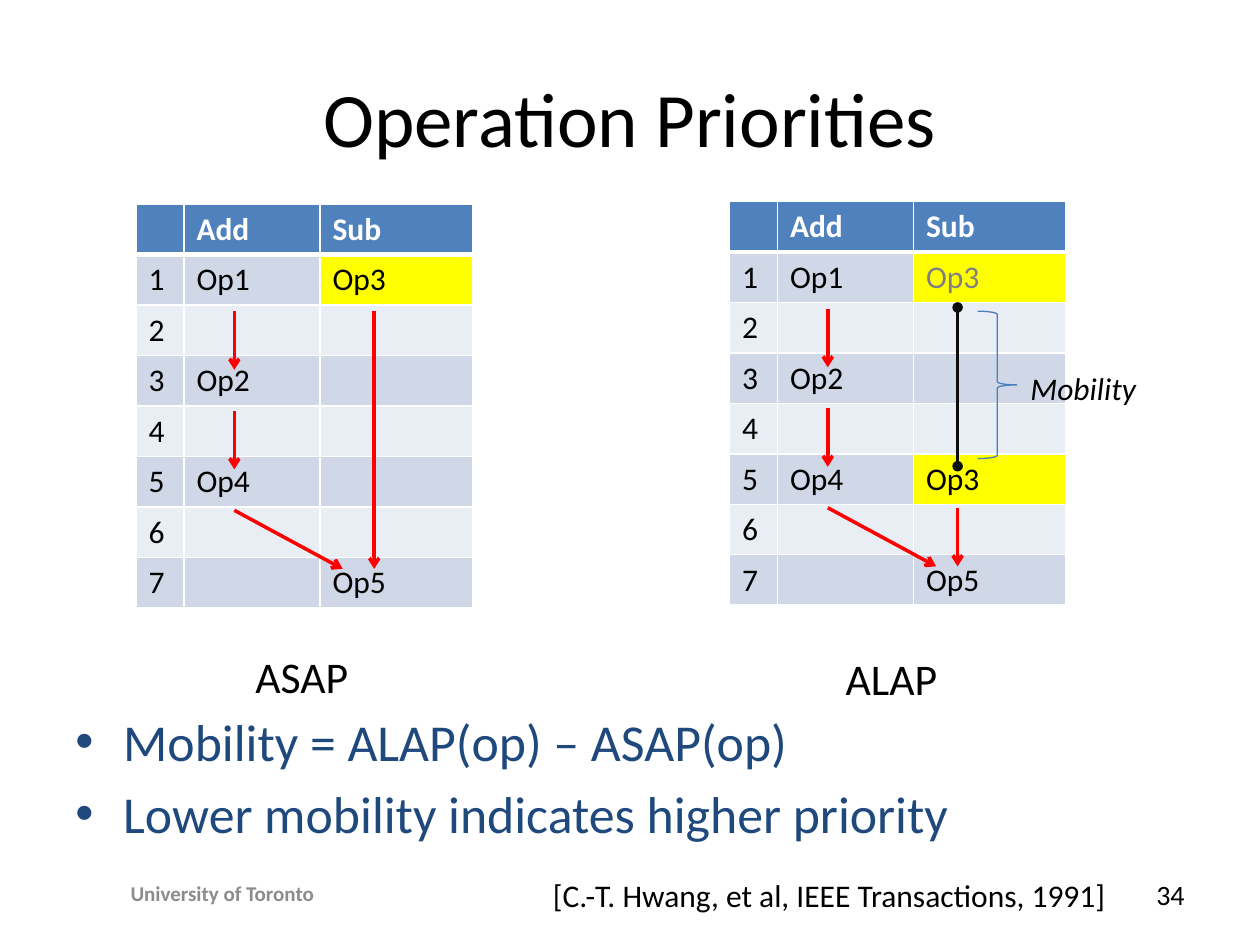
from dataclasses import dataclass

from lxml import etree
from pptx import Presentation
from pptx.dml.color import RGBColor
from pptx.enum.shapes import MSO_CONNECTOR, MSO_SHAPE
from pptx.enum.text import MSO_ANCHOR, PP_ALIGN
from pptx.oxml.ns import qn
from pptx.util import Inches, Pt

LEFT, CENTER, RIGHT = PP_ALIGN.LEFT, PP_ALIGN.CENTER, PP_ALIGN.RIGHT
TOP, MIDDLE = MSO_ANCHOR.TOP, MSO_ANCHOR.MIDDLE
STRAIGHT, BRACE = MSO_CONNECTOR.STRAIGHT, MSO_SHAPE.RIGHT_BRACE


@dataclass(frozen=True)
class Theme:
    font: str = "Calibri"
    black: str = "000000"
    white: str = "FFFFFF"
    navy: str = "1F497D"
    footer: str = "8C8C8C"
    faded: str = "808080"
    header: str = "4F81BD"
    bands: tuple = ("E9EDF4", "D0D8E8")
    highlight: str = "FFFF00"
    arrow: str = "FF0000"
    span: str = "0D0D0D"
    brace: str = "4B7EBC"
    title_size: float = 44
    body_size: float = 29.6
    caption_size: float = 25
    text_size: float = 18
    number_size: float = 16
    footer_size: float = 12


THEME = Theme()

# Schedules: operations keyed by (cycle, column); links are (from cycle, x, to cycle, x)
HEADERS = ("", "Add", "Sub")
CYCLES = 7
ADD_OPS = {(1, 1): "Op1", (3, 1): "Op2", (5, 1): "Op4", (7, 2): "Op5"}
ADD_X, MERGE_X = 0.78, 1.64
ADD_LINKS = [(1, ADD_X, 3, ADD_X), (3, ADD_X, 5, ADD_X), (5, ADD_X, 7, MERGE_X)]
SUB_X = {"ASAP": 1.89, "ALAP": 1.81}
SCHEDULES = [
    dict(name="ASAP", at=(1.08, 1.62), caption_at=(1.07, 5.11), op3_cycles=(1,),
         faded=(), links=ADD_LINKS + [(1, SUB_X["ASAP"], 7, SUB_X["ASAP"])]),
    dict(name="ALAP", at=(5.79, 1.6), caption_at=(5.75, 5.12), op3_cycles=(1, 5),
         faded=(1,), links=ADD_LINKS + [(5, SUB_X["ALAP"], 7, SUB_X["ALAP"])]),
]
BULLETS = ["Mobility = ALAP(op) – ASAP(op)", "Lower mobility indicates higher priority"]

COLUMNS = (0.38, 1.08, 1.21)
ROW = 0.4
LINK_PITCH, LINK_START, LINK_END = 0.395, 0.06, 0.13


def rgb(value):
    return RGBColor.from_string(value)


def write(para, text, size=THEME.text_size, color=THEME.black, bold=False, italic=False,
          align=LEFT):
    para.alignment = align
    span = para.add_run()
    span.text = text
    font = span.font
    font.name, font.size, font.bold, font.italic = THEME.font, Pt(size), bold, italic
    font.color.rgb = rgb(color)


def add_text(page, area, *lines, anchor=TOP, wrap=True, bullet=None, **style):
    box = page.shapes.add_textbox(*map(Inches, area))
    frame = box.text_frame
    frame.word_wrap, frame.vertical_anchor = wrap, anchor
    for index, line in enumerate(lines):
        para = frame.add_paragraph() if index else frame.paragraphs[0]
        write(para, line, **style)
        if bullet:
            para.space_before = Pt(style["size"] * 0.2)
            props = para._p.get_or_add_pPr()
            props.set("marL", str(Inches(0.38)))
            props.set("indent", str(-Inches(0.38)))
            etree.SubElement(props, qn("a:buFont"), typeface="Arial")
            etree.SubElement(props, qn("a:buChar"), char=bullet)


def set_borders(cell, bottom):
    props = cell._tc.get_or_add_tcPr()
    for index, (side, width) in enumerate((("L", 1), ("R", 1), ("T", 1), ("B", bottom))):
        line = etree.Element(qn(f"a:ln{side}"), w=str(Pt(width)))
        fill = etree.SubElement(line, qn("a:solidFill"))
        etree.SubElement(fill, qn("a:srgbClr"), val=THEME.white)
        props.insert(index, line)


def add_line(page, start, end, color, head=None, tail=None):
    line = page.shapes.add_connector(STRAIGHT, *map(Inches, (*start, *end)))
    line.line.color.rgb, line.line.width = rgb(color), Pt(2)
    outline = line.line._get_or_add_ln()
    for tag, kind in (("a:headEnd", head), ("a:tailEnd", tail)):
        if kind:
            etree.SubElement(outline, qn(tag), type=kind)
    etree.SubElement(line._element.spPr, qn("a:effectLst"))


def add_schedule(page, schedule):
    left, top = schedule["at"]
    area = (left, top, sum(COLUMNS), ROW * (CYCLES + 1))
    grid = page.shapes.add_table(CYCLES + 1, len(COLUMNS), *map(Inches, area)).table
    for column, width in zip(grid.columns, COLUMNS):
        column.width = Inches(width)
    op3_cells = [(cycle, 2) for cycle in schedule["op3_cycles"]]
    texts = {(0, c): text for c, text in enumerate(HEADERS)}
    texts |= {(cycle, 0): str(cycle) for cycle in range(1, CYCLES + 1)}
    texts |= ADD_OPS | dict.fromkeys(op3_cells, "Op3")
    for r in range(CYCLES + 1):
        for c in range(len(COLUMNS)):
            cell, header = grid.cell(r, c), r == 0
            fill = THEME.header if header else THEME.bands[r % 2]
            color = THEME.white if header else THEME.black
            if (r, c) in op3_cells:
                fill = THEME.highlight
                color = THEME.faded if r in schedule["faded"] else THEME.black
            cell.fill.solid()
            cell.fill.fore_color.rgb = rgb(fill)
            set_borders(cell, bottom=3 if header else 1)
            if texts.get((r, c)):
                write(cell.text_frame.paragraphs[0], texts[r, c], color=color, bold=header)


def add_links(page, schedule):
    left, top = schedule["at"]
    for first, x1, last, x2 in schedule["links"]:
        start = (left + x1, top + LINK_START + LINK_PITCH * (first + 1))
        end = (left + x2, top + LINK_END + LINK_PITCH * last)
        add_line(page, start, end, THEME.arrow, tail="arrow")


def add_mobility(page):
    x = SCHEDULES[1]["at"][0] + SUB_X["ALAP"]
    add_line(page, (x, 2.44), (x, 3.7), THEME.span, head="oval", tail="oval")
    brace = page.shapes.add_shape(BRACE, *map(Inches, (7.76, 2.47, 0.31, 1.17)))
    brace.shadow.inherit = False
    brace.fill.background()
    brace.line.color.rgb, brace.line.width = rgb(THEME.brace), Pt(0.75)
    add_text(page, (8.08, 2.88, 1.06, 0.4), "Mobility", italic=True)


def main():
    deck = Presentation()
    deck.slide_width, deck.slide_height = Inches(10), Inches(7.5)
    page = deck.slides.add_slide(deck.slide_layouts[6])
    add_text(page, (0.5, 0.3, 9, 1.25), "Operation Priorities", anchor=MIDDLE,
             size=THEME.title_size, align=CENTER)
    add_text(page, (0.5, 5.58, 9, 1.12), *BULLETS, bullet="•",
             size=THEME.body_size, color=THEME.navy)
    add_text(page, (0.18, 6.89, 3.17, 0.4), "University of Toronto", anchor=MIDDLE,
             size=THEME.footer_size, color=THEME.footer, bold=True, align=CENTER)
    add_text(page, (7.17, 6.9, 2.33, 0.4), "34", anchor=MIDDLE,
             size=THEME.number_size, align=RIGHT)
    for schedule in SCHEDULES:
        add_schedule(page, schedule)
        add_links(page, schedule)
        add_text(page, (*schedule["caption_at"], 2.65, 0.52), schedule["name"],
                 size=THEME.caption_size, align=CENTER)
    add_mobility(page)
    add_text(page, (4.29, 6.9, 4.65, 0.4), "[C.-T. Hwang, et al, IEEE Transactions, 1991]",
             wrap=False)
    deck.save("out.pptx")


if __name__ == "__main__":
    main()
